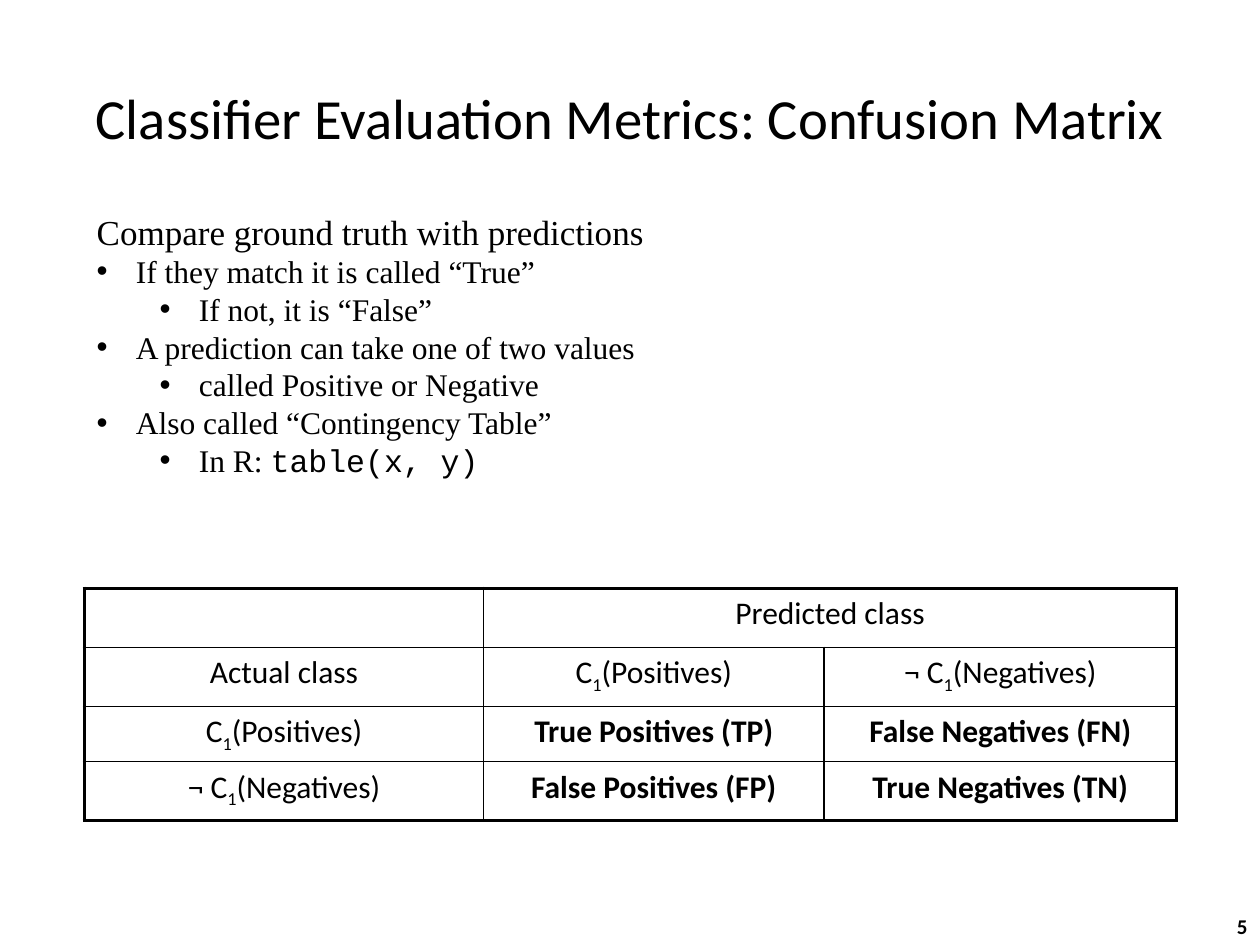
import pptx
import pptx.util
import pptx.dml.color
import pptx.enum.text
import pptx.oxml.ns
from lxml import etree

Cm = pptx.util.Cm
Pt = pptx.util.Pt
ALIGN = pptx.enum.text.PP_ALIGN
ANCHOR = pptx.enum.text.MSO_ANCHOR
qn = pptx.oxml.ns.qn

COLORS = {"ink": "000000"}
SANS, SERIF, MONO = "Calibri", "Times New Roman", "Courier New"

TITLE = "Classifier Evaluation Metrics: Confusion Matrix"
PAGE_NUMBER = "5"
HEADING = "Compare ground truth with predictions"
POINTS = [
    (0, [("If they match it is called “True”", SERIF)]),
    (1, [("If not, it is “False”", SERIF)]),
    (0, [("A prediction can take one of two values", SERIF)]),
    (1, [("called Positive or Negative", SERIF)]),
    (0, [("Also called “Contingency Table”", SERIF)]),
    (1, [("In R: ", SERIF), ("table(x, y)", MONO)]),
]
POSITIVE = ("C", "1", "(Positives)")
NEGATIVE = ("¬ C", "1", "(Negatives)")
MATRIX = [
    [(), ("Predicted class",), ()],
    [("Actual class",), POSITIVE, NEGATIVE],
    [POSITIVE, ("True Positives (TP)",), ("False Negatives (FN)",)],
    [NEGATIVE, ("False Positives (FP)",), ("True Negatives (TN)",)],
]
COLUMN_WIDTHS = [8.05, 6.86, 7.11]
ROW_HEIGHTS = [1.19, 1.19, 1.07, 1.19]
THICK, THIN = 2.25, 1


def add_text(para, text, font=SANS, size=18, bold=False, baseline=0):
    span = para.add_run()
    span.text = text
    span.font.name = font
    span.font.size = Pt(size)
    span.font.bold = bold
    span.font.color.rgb = pptx.dml.color.RGBColor.from_string(COLORS["ink"])
    if baseline:
        span.font._element.set("baseline", str(baseline * 1000))


def add_bullet(para, level):
    para.level = level
    properties = para._p.get_or_add_pPr()
    properties.set("marL", str(Cm(0.79 + 1.27 * level)))
    properties.set("indent", str(Cm(-0.79)))
    font = etree.SubElement(properties, qn("a:buFont"))
    font.set("typeface", "Arial")
    etree.SubElement(properties, qn("a:buChar")).set("char", "•")


def add_borders(cell, widths):
    properties = cell._tc.get_or_add_tcPr()
    for side, width in zip("LRTB", widths):
        line = etree.SubElement(properties, qn("a:ln" + side))
        line.set("w", str(Pt(width)))
        fill = etree.SubElement(line, qn("a:solidFill"))
        etree.SubElement(fill, qn("a:srgbClr")).set("val", COLORS["ink"])


def add_box(page, left, top, width, height):
    box = page.shapes.add_textbox(Cm(left), Cm(top), Cm(width), Cm(height))
    box.text_frame.word_wrap = True
    return box.text_frame


def add_title(page):
    title = page.shapes.title
    title.left, title.top, title.width, title.height = Cm(1.27), Cm(0.76), Cm(22.86), Cm(3.18)
    title.text_frame.vertical_anchor = ANCHOR.MIDDLE
    para = title.text_frame.paragraphs[0]
    para.alignment = ALIGN.CENTER
    add_text(para, TITLE, size=32.4)


def add_points(page):
    frame = add_box(page, 1.7, 4.11, 15.24, 5.74)
    add_text(frame.paragraphs[0], HEADING, font=SERIF, size=20)
    for level, pieces in POINTS:
        para = frame.add_paragraph()
        add_bullet(para, level)
        for text, font in pieces:
            add_text(para, text, font=font)


def add_matrix(page):
    last_row, last_column = len(ROW_HEIGHTS) - 1, len(COLUMN_WIDTHS) - 1
    table = page.shapes.add_table(
        last_row + 1, last_column + 1, Cm(1.7), Cm(11.86),
        Cm(sum(COLUMN_WIDTHS)), Cm(sum(ROW_HEIGHTS))).table
    table.first_row = table.horz_banding = False
    for column, width in zip(table.columns, COLUMN_WIDTHS):
        column.width = Cm(width)
    for row, height in zip(table.rows, ROW_HEIGHTS):
        row.height = Cm(height)
    for r, row in enumerate(MATRIX):
        for c, pieces in enumerate(row):
            cell = table.cell(r, c)
            outer = (c == 0, c == last_column, r == 0, r == last_row)
            if r == 0 and c == 1:
                outer = (False, True, True, False)
            add_borders(cell, [THICK if edge else THIN for edge in outer])
            cell.fill.background()
            para = cell.text_frame.paragraphs[0]
            para.alignment = ALIGN.CENTER
            para.space_before = Pt(3.6)
            for text in pieces:
                add_text(para, text, bold=r > 1 and c > 0,
                         baseline=-25 if text == "1" else 0)
    table.cell(0, 1).merge(table.cell(0, 2))


def add_page_number(page):
    frame = add_box(page, 20.12, 17.98, 5.28, 1.07)
    frame.vertical_anchor = ANCHOR.BOTTOM
    para = frame.paragraphs[0]
    para.alignment = ALIGN.RIGHT
    add_text(para, PAGE_NUMBER, size=12, bold=True)


def main():
    deck = pptx.Presentation()
    deck.slide_width, deck.slide_height = Cm(25.4), Cm(19.05)
    page = deck.slides.add_slide(deck.slide_layouts[5])
    add_title(page)
    add_matrix(page)
    add_page_number(page)
    add_points(page)
    deck.save("out.pptx")


if __name__ == "__main__":
    main()
